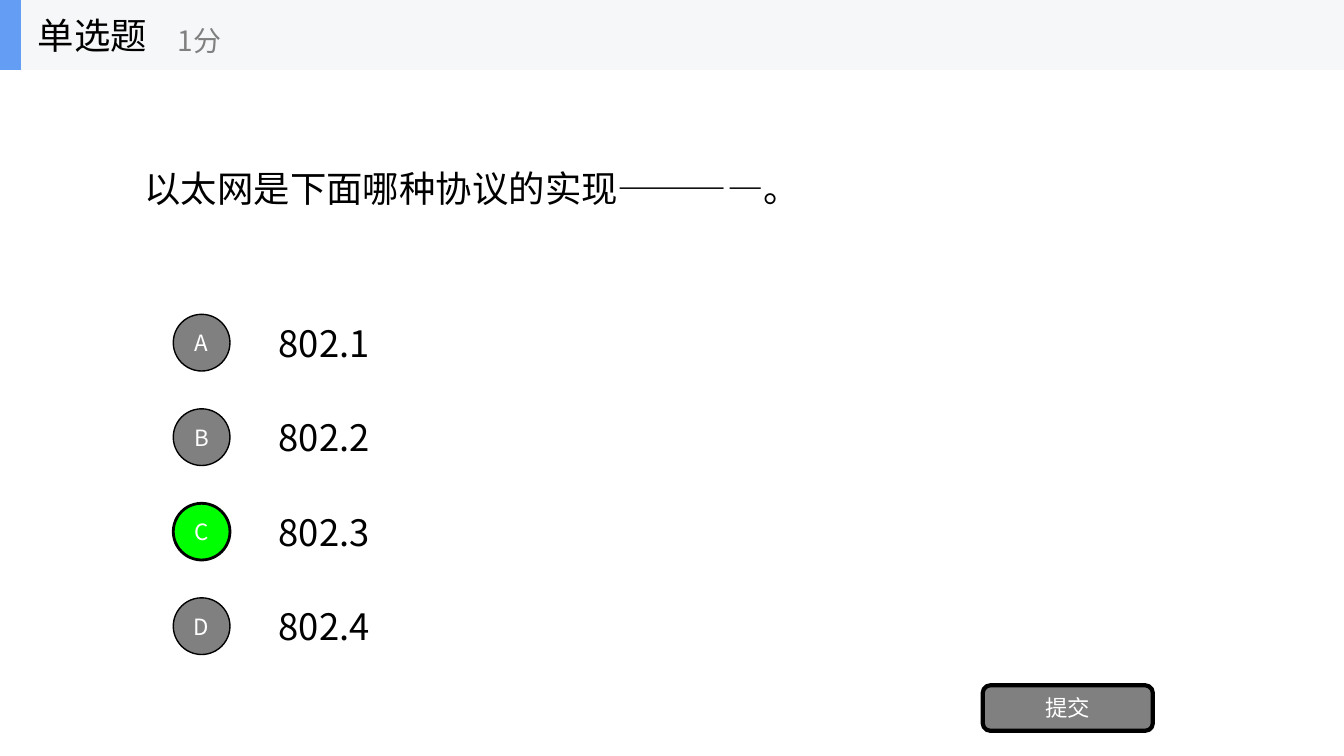
from dataclasses import dataclass

from lxml import etree
from pptx import Presentation
from pptx.dml.color import RGBColor
from pptx.enum.shapes import MSO_SHAPE
from pptx.enum.text import MSO_ANCHOR, MSO_AUTO_SIZE, PP_ALIGN
from pptx.oxml.ns import qn
from pptx.shapes.autoshape import Shape
from pptx.slide import Slide
from pptx.util import Pt

RECTANGLE = MSO_SHAPE.RECTANGLE
ROUNDED = MSO_SHAPE.ROUNDED_RECTANGLE
OVAL = MSO_SHAPE.OVAL
MIDDLE = MSO_ANCHOR.MIDDLE
FIXED_SIZE = MSO_AUTO_SIZE.NONE
LEFT = PP_ALIGN.LEFT
CENTER = PP_ALIGN.CENTER

FONT = "Noto Sans CJK SC"
COLORS = {
    "text": "000000",
    "muted": "808080",
    "correct": "00FF00",
    "label": "FFFFFF",
    "header": "F6F7F8",
    "accent": "639EF4",
}

SLIDE_WIDTH = 960
SLIDE_HEIGHT = 540
HEADER_HEIGHT = 50
OPTION_TOP = 219.5
OPTION_PITCH = 67.5
OPTION_HEIGHT = 50.5
BADGE_SIZE = 40.5


@dataclass(frozen=True)
class Box:
    left: float
    top: float
    width: float
    height: float

    def lengths(self) -> tuple[Pt, Pt, Pt, Pt]:
        return Pt(self.left), Pt(self.top), Pt(self.width), Pt(self.height)


@dataclass(frozen=True)
class Option:
    letter: str
    answer: str
    fill: str = "muted"
    outline: float = 1


OPTIONS = [
    Option("A", "802.1"),
    Option("B", "802.2"),
    Option("C", "802.3", "correct", 2),
    Option("D", "802.4"),
]


def rgb(color: str) -> RGBColor:
    return RGBColor.from_string(COLORS[color])


def write(holder: Shape, wording: str, size: float, color: str, align: PP_ALIGN = LEFT) -> None:
    frame = holder.text_frame
    frame.text = wording
    frame.word_wrap = True
    frame.auto_size = FIXED_SIZE
    frame.vertical_anchor = MIDDLE
    paragraph = frame.paragraphs[0]
    paragraph.alignment = align
    paragraph.font.size = Pt(size)
    paragraph.font.color.rgb = rgb(color)
    paragraph.font.name = FONT
    defaults = paragraph._p.pPr.find(qn("a:defRPr"))
    etree.SubElement(defaults, qn("a:ea"), typeface=FONT)


def add_label(slide: Slide, box: Box, wording: str, size: float = 26, color: str = "text") -> None:
    write(slide.shapes.add_textbox(*box.lengths()), wording, size, color)


def add_panel(slide: Slide, kind: MSO_SHAPE, box: Box, fill: str, outline: float = 0) -> Shape:
    panel = slide.shapes.add_shape(kind, *box.lengths())
    panel.shadow.inherit = False
    panel.fill.solid()
    panel.fill.fore_color.rgb = rgb(fill)
    if outline:
        panel.line.color.rgb = rgb("text")
        panel.line.width = Pt(outline)
    else:
        panel.line.fill.background()
    return panel


def add_button(slide: Slide, kind: MSO_SHAPE, box: Box, wording: str, fill: str, outline: float) -> None:
    button = add_panel(slide, kind, box, fill, outline)
    write(button, wording, 16, "label", CENTER)
    frame = button.text_frame
    frame.margin_left = frame.margin_right = frame.margin_top = frame.margin_bottom = 0


def add_question(slide: Slide, box: Box, wording: str) -> None:
    question = slide.shapes.title
    question.left, question.top, question.width, question.height = box.lengths()
    write(question, wording, 26, "text")


def add_option(slide: Slide, row: int, option: Option) -> None:
    top = OPTION_TOP + row * OPTION_PITCH
    badge_top = top + (OPTION_HEIGHT - BADGE_SIZE) / 2
    add_label(slide, Box(192, top, 672, OPTION_HEIGHT), option.answer)
    badge = Box(123.75, badge_top, BADGE_SIZE, BADGE_SIZE)
    add_button(slide, OVAL, badge, option.letter, option.fill, option.outline)


def add_header(slide: Slide) -> None:
    add_panel(slide, RECTANGLE, Box(0, 0, SLIDE_WIDTH, HEADER_HEIGHT), "header")
    add_panel(slide, RECTANGLE, Box(0, 0, 15, HEADER_HEIGHT), "accent")
    add_label(slide, Box(20, 0, 150, HEADER_HEIGHT), "单选题")
    add_label(slide, Box(120, 9, 180, 40), "1分", 20, "muted")


def main() -> None:
    presentation = Presentation()
    presentation.slide_width = Pt(SLIDE_WIDTH)
    presentation.slide_height = Pt(SLIDE_HEIGHT)
    slide = presentation.slides.add_slide(presentation.slide_layouts.get_by_name("Title Only"))

    add_question(slide, Box(96, HEADER_HEIGHT, 768, 168.5), "以太网是下面哪种协议的实现————。")
    for row, option in enumerate(OPTIONS):
        add_option(slide, row, option)
    add_button(slide, ROUNDED, Box(702, 489.5, 121.5, 32.5), "提交", "muted", 3)
    add_header(slide)

    presentation.save("out.pptx")


if __name__ == "__main__":
    main()
